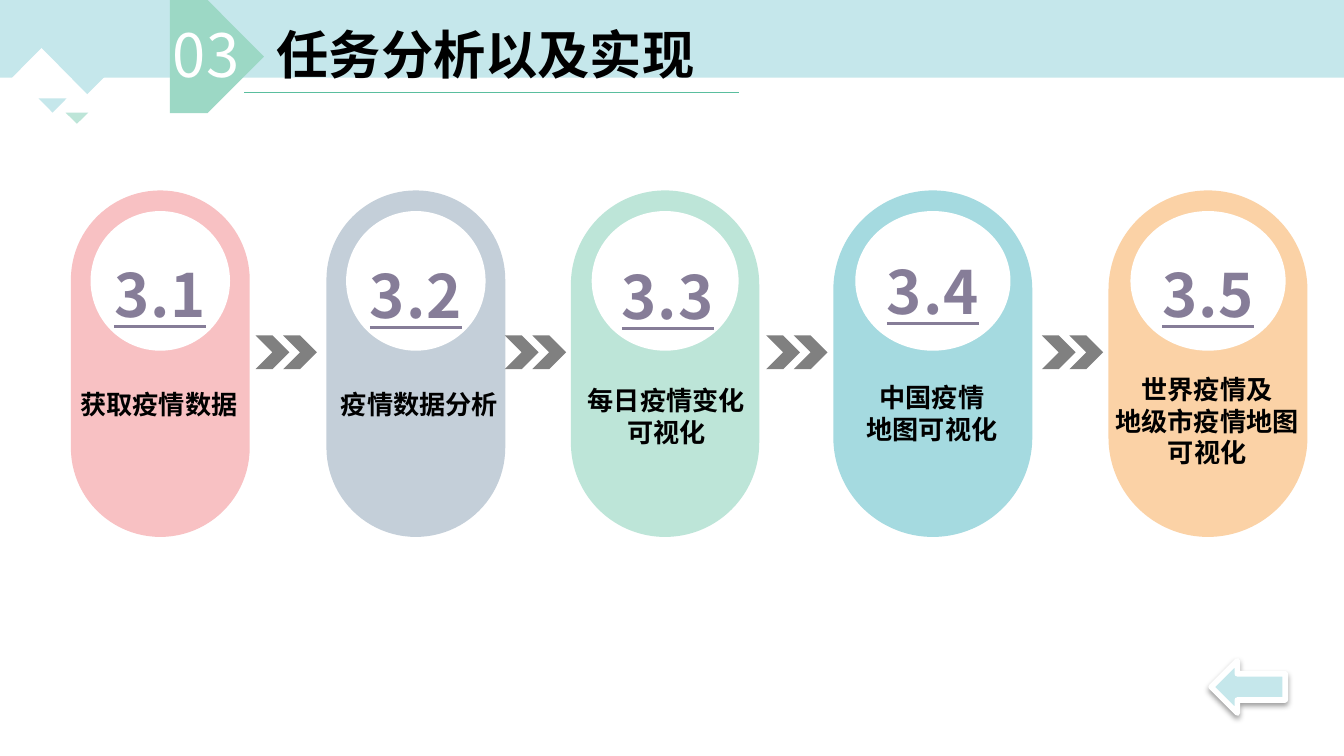
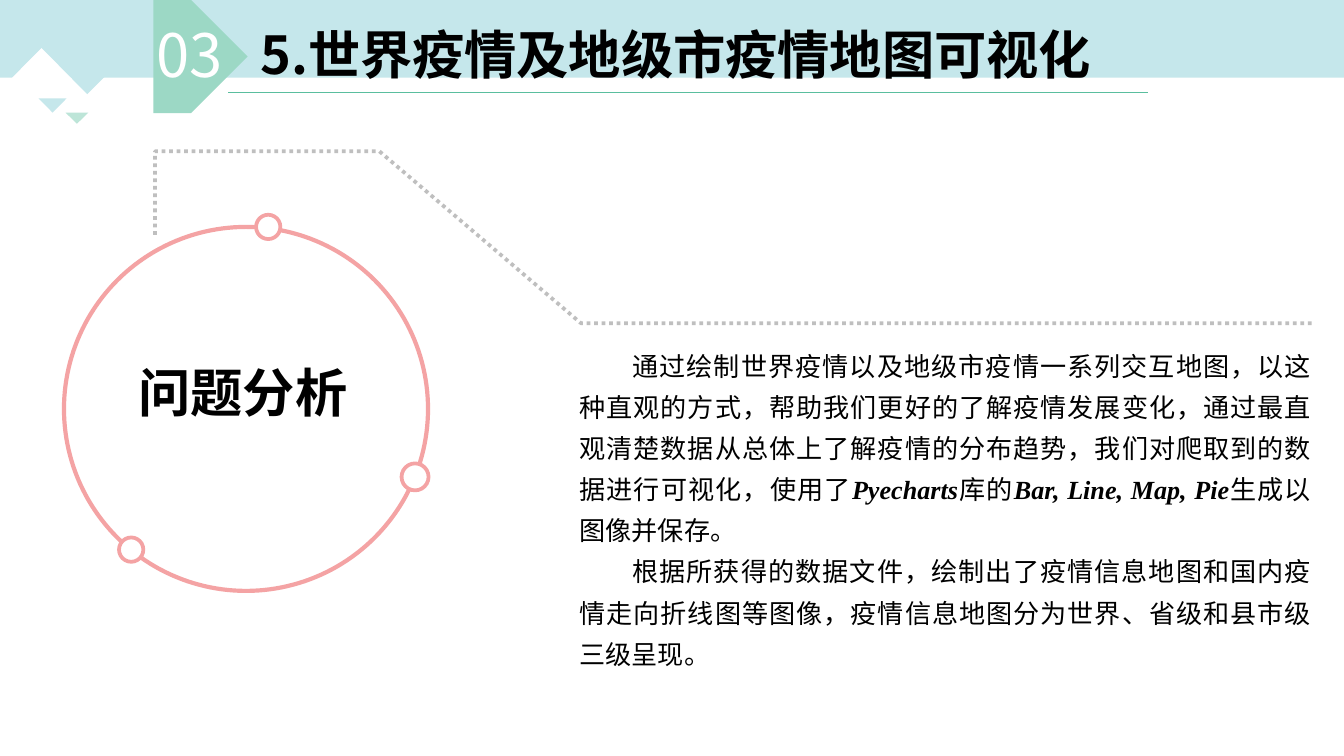
from dataclasses import dataclass

import lxml.etree
import pptx
import pptx.dml.color
import pptx.enum.dml
import pptx.enum.shapes
import pptx.enum.text
import pptx.oxml.ns
import pptx.util

Cm = pptx.util.Cm
Pt = pptx.util.Pt
RGBColor = pptx.dml.color.RGBColor
SHAPE = pptx.enum.shapes.MSO_SHAPE
ALIGN = pptx.enum.text.PP_ALIGN
qn = pptx.oxml.ns.qn

SKY = RGBColor(0xC5, 0xE7, 0xEB)
MINT = RGBColor(0xBD, 0xE5, 0xD8)
TAG_GREEN = RGBColor(0x9C, 0xD8, 0xC5)
RULE_GREEN = RGBColor(0x5A, 0xBE, 0x9E)
PINK = RGBColor(0xF8, 0xC1, 0xC3)
SLATE = RGBColor(0xC4, 0xCF, 0xD9)
TEAL = RGBColor(0xA5, 0xDA, 0xE0)
ORANGE = RGBColor(0xFB, 0xD2, 0xA6)
ROSE = RGBColor(0xF4, 0xA3, 0xA4)
PURPLE = RGBColor(0x86, 0x7D, 0x98)
GRAY = RGBColor(0x80, 0x80, 0x80)
SILVER = RGBColor(0xBF, 0xBF, 0xBF)
BLACK = RGBColor(0, 0, 0)
WHITE = RGBColor(0xFF, 0xFF, 0xFF)

SANS = "Noto Sans CJK SC"
SERIF = "Times New Roman"


@dataclass
class Card:
    left: float
    width: float
    fill: RGBColor
    number: str
    number_top: float
    label_left: float
    label_top: float
    label_width: float
    lines: list
    number_shift: float = 0


CARDS = [
    Card(1.34, 3.38, PINK, "3.1", 0.59, -0.24, 3.61, 3.81, ["获取疫情数据"]),
    Card(6.17, 3.38, SLATE, "3.2", 0.62, -0.02, 3.61, 3.56, ["疫情数据分析"]),
    Card(10.79, 3.56, MINT, "3.3", 0.63, -0.53, 3.55, 4.67, ["每日疫情变化", "可视化"], 0.05),
    Card(15.75, 3.76, TEAL, "3.4", 0.54, -0.22, 3.49, 4.17, ["中国疫情", "地图可视化"]),
    Card(20.95, 3.76, ORANGE, "3.5", 0.59, -0.22, 3.34, 4.17,
         ["世界疫情及", "地级市疫情地图", "可视化"]),
]

ANALYSIS = [
    [
        ("通过绘制世界疫情以及地级市疫情一系列交互地图，以这种直观的方式，"
         "帮助我们更好的了解疫情发展变化，通过最直观清楚数据从总体上了解疫情的分布趋势，"
         "我们对爬取到的数据进行可视化，使用了", False),
        ("Pyecharts", True),
        ("库的", False),
        ("Bar, Line, Map, Pie", True),
        ("生成以图像并保存。", False),
    ],
    [
        ("根据所获得的数据文件，绘制出了疫情信息地图和国内疫情走向折线图等图像，"
         "疫情信息地图分为世界、省级和县市级三级呈现。", False),
    ],
]


def paint(shape, fill=None, line=None, weight=1):
    shape.shadow.inherit = False
    if fill is None:
        shape.fill.background()
    else:
        shape.fill.solid()
        shape.fill.fore_color.rgb = fill
    if line is None:
        shape.line.fill.background()
    else:
        shape.line.color.rgb = line
        shape.line.width = Pt(weight)
    return shape


def add_preset(page, kind, left, top, width, height, fill=None, line=None, weight=1):
    shape = page.shapes.add_shape(kind, Cm(left), Cm(top), Cm(width), Cm(height))
    return paint(shape, fill, line, weight)


def add_outline(page, points, close, **style):
    corners = [(Cm(x), Cm(y)) for x, y in points]
    builder = page.shapes.build_freeform(*corners[0])
    builder.add_line_segments(corners[1:], close=close)
    return paint(builder.convert_to_shape(), **style)


def set_typeface(font, name):
    font.name = name
    lxml.etree.SubElement(font._element, qn("a:ea")).set("typeface", name)


def style_para(para, size, color, bold=False, align=ALIGN.LEFT):
    para.alignment = align
    para.font.size = Pt(size)
    para.font.bold = bold
    para.font.color.rgb = color
    set_typeface(para.font, SANS)


def add_frame(page, left, top, width, height, wrap=True):
    box = page.shapes.add_textbox(Cm(left), Cm(top), Cm(width), Cm(height))
    frame = box.text_frame
    frame.word_wrap = wrap
    frame.auto_size = pptx.enum.text.MSO_AUTO_SIZE.SHAPE_TO_FIT_TEXT
    return frame


def add_text(page, lines, left, top, width, height, size, color=BLACK,
             bold=True, align=ALIGN.LEFT, wrap=True):
    frame = add_frame(page, left, top, width, height, wrap)
    for index, line in enumerate(lines):
        para = frame.add_paragraph() if index else frame.paragraphs[0]
        para.add_run().text = line
        style_para(para, size, color, bold, align)
    return frame


def draw_band(page):
    add_preset(page, SHAPE.RECTANGLE, 0, 0, 25.4, 1.47, SKY)
    for left, right, base, tip, fill in [
        (1.22, 2.08, 1.35, 1.78, SKY),
        (1.24, 1.67, 2.13, 2.34, MINT),
        (0.2, 1.37, 1.5, 0.91, WHITE),
        (0.73, 1.26, 1.86, 2.13, SKY),
    ]:
        corners = [(left, base), (right, base), ((left + right) / 2, tip)]
        add_outline(page, corners, True, fill=fill)


def draw_heading(page, title, left, width):
    add_text(page, [title], left + 1.77, 0.3, width, 1.45, 28)
    tag = add_preset(page, SHAPE.PENTAGON, left, 0, 1.78, 2.14, TAG_GREEN)
    tag.adjustments[0] = 0.6
    add_text(page, ["03"], left - 0.19, 0.21, 1.85, 1.63, 32, WHITE, bold=False, wrap=False)
    rule = page.shapes.add_connector(
        pptx.enum.shapes.MSO_CONNECTOR.STRAIGHT,
        Cm(left + 1.41), Cm(1.75), Cm(left + 1.41 + width), Cm(1.75))
    rule.line.color.rgb = RULE_GREEN
    rule.line.width = Pt(0.75)
    lxml.etree.SubElement(rule._element.spPr, qn("a:effectLst"))


def draw_card(page, card, top):
    capsule = add_preset(page, SHAPE.ROUNDED_RECTANGLE, card.left, top,
                         card.width, 6.55, card.fill)
    capsule.adjustments[0] = 0.5
    disc = card.width * 0.78
    add_preset(page, SHAPE.OVAL, card.left + (card.width - disc) / 2, top + 0.39,
               disc, 2.64, WHITE)
    span = card.width * 0.86
    frame = add_text(page, [card.number],
                     card.left + (card.width - span) / 2 + card.number_shift,
                     top + card.number_top, span, 1.8, 32, PURPLE, align=ALIGN.CENTER)
    frame.margin_left = frame.margin_right = frame.margin_top = frame.margin_bottom = 0
    para = frame.paragraphs[0]
    para.line_spacing = 1.5
    para.font.underline = True
    para.font._element.set("spc", "50")
    add_text(page, card.lines, card.left + card.label_left, top + card.label_top,
             card.label_width, 0.25 + 0.6 * len(card.lines), 14, align=ALIGN.CENTER)


def draw_chevrons(page, left, top):
    for offset in (0, 0.52):
        add_preset(page, SHAPE.CHEVRON, left + offset, top, 0.64, 0.64, GRAY)


def draw_back_arrow(page, left, top):
    arrow = add_preset(page, SHAPE.LEFT_ARROW, left, top, 1.4, 0.99, SKY, WHITE, 3)
    effects = arrow._element.spPr.find(qn("a:effectLst"))
    shadow = lxml.etree.SubElement(
        effects, qn("a:outerShdw"), blurRad=str(Pt(3.1)), dist=str(Pt(1.6)),
        dir="5400000", rotWithShape="0")
    color = lxml.etree.SubElement(shadow, qn("a:srgbClr"), val=str(BLACK))
    lxml.etree.SubElement(color, qn("a:alpha"), val="38000")


def draw_ring(page, left, top):
    add_preset(page, SHAPE.OVAL, left, top, 6.88, 6.88, line=ROSE, weight=2.25)
    for x, y, size in [(6.38, 4.47, 0.51), (3.63, -0.23, 0.46), (1.04, 5.87, 0.46)]:
        add_preset(page, SHAPE.OVAL, left + x, top + y, size, size, WHITE, ROSE, 2)
    add_text(page, ["问题分析"], left - 0.38, top + 2.4, 7.52, 1.45, 28,
             align=ALIGN.CENTER)


def draw_guide(page, left, top):
    steps = [(0, 1.58), (0, 0), (4.24, 0), (8.05, 3.25), (21.88, 3.25)]
    guide = add_outline(page, [(left + x, top + y) for x, y in steps], False,
                        line=SILVER, weight=2)
    guide.line.dash_style = pptx.enum.dml.MSO_LINE.ROUND_DOT


def draw_analysis(page, left, top, width, height):
    frame = add_frame(page, left, top, width, height)
    for index, parts in enumerate(ANALYSIS):
        para = frame.add_paragraph() if index else frame.paragraphs[0]
        style_para(para, 14, BLACK, align=ALIGN.JUSTIFY)
        para.line_spacing = Pt(22)
        para._p.get_or_add_pPr().set("indent", str(Cm(1)))
        for words, is_term in parts:
            span = para.add_run()
            span.text = words
            if is_term:
                span.font.bold = span.font.italic = True
                set_typeface(span.font, SERIF)


def add_page(deck, title, left, width):
    page = deck.slides.add_slide(deck.slide_layouts[6])
    draw_band(page)
    draw_heading(page, title, left, width)
    return page


def build_steps(deck):
    page = add_page(deck, "任务分析以及实现", 3.21, 9.35)
    for card in CARDS:
        draw_card(page, card, 3.6)
    for left in (4.83, 9.54, 14.48, 19.69):
        draw_chevrons(page, left, 6.34)
    draw_back_arrow(page, 22.89, 12.49)


def build_analysis(deck):
    page = add_page(deck, "5.世界疫情及地级市疫情地图可视化", 2.9, 17.39)
    draw_ring(page, 1.21, 4.29)
    draw_guide(page, 2.93, 2.86)
    draw_analysis(page, 10.7, 6.32, 14.33, 6.53)


def main():
    deck = pptx.Presentation()
    deck.slide_width = Cm(25.4)
    deck.slide_height = Cm(14.29)
    build_steps(deck)
    build_analysis(deck)
    deck.save("out.pptx")


if __name__ == "__main__":
    main()
